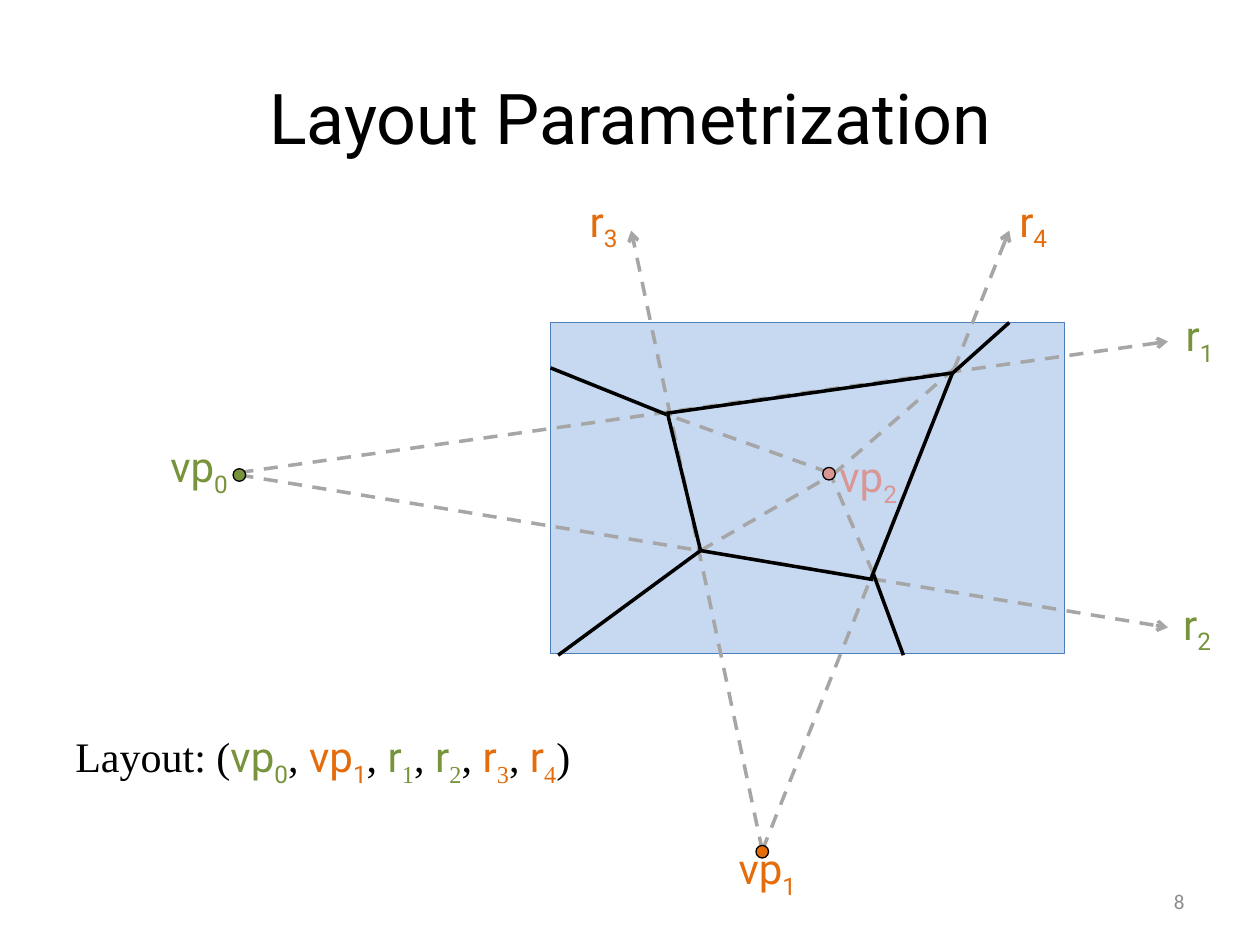
from typing import NamedTuple

from lxml import etree
from pptx import Presentation
from pptx.dml.color import RGBColor
from pptx.enum.dml import MSO_LINE
from pptx.enum.shapes import MSO_CONNECTOR, MSO_SHAPE
from pptx.enum.text import MSO_ANCHOR, PP_ALIGN
from pptx.oxml.ns import qn
from pptx.util import Inches, Pt

STRAIGHT = MSO_CONNECTOR.STRAIGHT
RECTANGLE, OVAL = MSO_SHAPE.RECTANGLE, MSO_SHAPE.OVAL
DASH = MSO_LINE.DASH
TOP, MIDDLE = MSO_ANCHOR.TOP, MSO_ANCHOR.MIDDLE
LEFT, CENTER, RIGHT = PP_ALIGN.LEFT, PP_ALIGN.CENTER, PP_ALIGN.RIGHT

COLORS = {
    "black": "000000",
    "green": "77933C",
    "orange": "E46C0A",
    "pink": "D99694",
    "ray": "A6A6A6",
    "image": "C6D9F1",
    "image edge": "4B7EBC",
    "page number": "8C8C8C",
}
SANS, SERIF = "Roboto", "Times New Roman"
DOT_SIZE = 0.1


class Span(NamedTuple):
    text: str
    color: str = "black"
    font: str = SANS
    subscript: bool = False


class Label(NamedTuple):
    name: str
    index: str
    color: str
    left: float
    top: float


class Segment(NamedTuple):
    x1: float
    y1: float
    x2: float
    y2: float


class Dot(NamedTuple):
    left: float
    top: float
    color: str


RAYS = [
    Segment(1.9, 3.75, 9.27, 2.71),
    Segment(1.9, 3.77, 9.27, 4.98),
    Segment(6.05, 6.75, 5.01, 1.83),
    Segment(6.05, 6.75, 8.01, 1.83),
]
INNER_RAYS = [
    Segment(7.58, 2.92, 6.63, 3.75),
    Segment(6.93, 4.55, 6.58, 3.74),
    Segment(6.58, 3.75, 5.29, 3.29),
    Segment(5.56, 4.37, 6.6, 3.77),
]
ROOM_EDGES = [
    Segment(8.01, 2.56, 7.54, 2.98),
    Segment(7.17, 5.2, 6.93, 4.55),
    Segment(4.43, 5.2, 5.56, 4.37),
    Segment(4.37, 2.92, 5.29, 3.29),
    Segment(6.93, 4.6, 5.56, 4.37),
    Segment(5.56, 4.37, 5.3, 3.29),
    Segment(7.56, 2.96, 5.29, 3.28),
    Segment(6.91, 4.6, 7.56, 2.96),
]
LABELS = [
    Label("vp", "0", "green", 1.22, 3.45),
    Label("vp", "1", "orange", 5.73, 6.64),
    Label("r", "1", "green", 9.16, 2.41),
    Label("r", "2", "green", 9.14, 4.7),
    Label("r", "3", "orange", 4.43, 1.5),
    Label("r", "4", "orange", 7.84, 1.5),
]
CENTER_LABEL = Label("vp", "2", "pink", 6.53, 3.53)
DOTS = [
    Dot(1.85, 3.72, "green"),
    Dot(6, 6.71, "orange"),
    Dot(6.53, 3.71, "pink"),
]


def rgb(color: str) -> RGBColor:
    return RGBColor.from_string(COLORS[color])


def add_text(page, left: float, top: float, width: float, height: float,
             spans: list[Span], size: float = 24, align=LEFT, anchor=TOP) -> None:
    box = page.shapes.add_textbox(Inches(left), Inches(top), Inches(width), Inches(height))
    frame = box.text_frame
    frame.word_wrap = True
    frame.vertical_anchor = anchor
    para = frame.paragraphs[0]
    para.alignment = align
    para.font.size = Pt(size)
    for span in spans:
        run = para.add_run()
        run.text = span.text
        run.font.name = span.font
        run.font.color.rgb = rgb(span.color)
        if span.subscript:
            run._r.get_or_add_rPr().set("baseline", "-25000")


def add_label(page, label: Label) -> None:
    spans = [Span(label.name, label.color), Span(label.index, label.color, subscript=True)]
    add_text(page, label.left, label.top, 0.72, 0.5, spans, align=CENTER)


def add_segment(page, segment: Segment, color: str, dashed: bool = False,
                arrow: bool = False) -> None:
    connector = page.shapes.add_connector(STRAIGHT, *(Inches(value) for value in segment))
    connector.line.color.rgb = rgb(color)
    connector.line.width = Pt(2)
    if dashed:
        connector.line.dash_style = DASH
    if arrow:
        etree.SubElement(connector.line._get_or_add_ln(), qn("a:tailEnd"), type="arrow")
    etree.SubElement(connector._element.spPr, qn("a:effectLst"))


def add_filled_shape(page, kind, left: float, top: float, width: float, height: float,
                     fill: str, edge: str) -> None:
    shape = page.shapes.add_shape(kind, Inches(left), Inches(top), Inches(width), Inches(height))
    shape.shadow.inherit = False
    shape.fill.solid()
    shape.fill.fore_color.rgb = rgb(fill)
    shape.line.color.rgb = rgb(edge)
    shape.line.width = Pt(0.75)


def layout_formula() -> list[Span]:
    """List the layout's parameters in brackets, separated by commas."""
    parameters = [
        ("vp", "0", "green", SANS), ("vp", "1", "orange", SANS),
        ("r", "1", "green", SERIF), ("r", "2", "green", SERIF),
        ("r", "3", "orange", SERIF), ("r", "4", "orange", SERIF),
    ]
    spans = []
    for name, index, color, index_font in parameters:
        opening = ", " if spans else "Layout: ("
        spans += [Span(opening, font=SERIF), Span(name, color),
                  Span(index, color, index_font, subscript=True)]
    return spans + [Span(")", font=SERIF)]


def main() -> None:
    deck = Presentation()
    deck.slide_width, deck.slide_height = Inches(10), Inches(7.5)
    page = deck.slides.add_slide(deck.slide_layouts[6])

    add_text(page, 7.17, 6.95, 2.33, 0.4, [Span("8", "page number", "Calibri")],
             size=12, align=RIGHT, anchor=MIDDLE)
    add_text(page, 0.5, 5.75, 4.6, 0.5, layout_formula())
    add_filled_shape(page, RECTANGLE, 4.37, 2.56, 4.08, 2.63, "image", "image edge")
    for ray in RAYS:
        add_segment(page, ray, "ray", dashed=True, arrow=True)
    for label in LABELS:
        add_label(page, label)
    for ray in INNER_RAYS:
        add_segment(page, ray, "ray", dashed=True)
    add_label(page, CENTER_LABEL)
    for edge in ROOM_EDGES:
        add_segment(page, edge, "black")
    for dot in DOTS:
        add_filled_shape(page, OVAL, dot.left, dot.top, DOT_SIZE, DOT_SIZE, dot.color, "black")
    add_text(page, 0.5, 0.3, 9, 1.25, [Span("Layout Parametrization")],
             size=40, align=CENTER, anchor=MIDDLE)

    deck.save("out.pptx")


if __name__ == "__main__":
    main()
